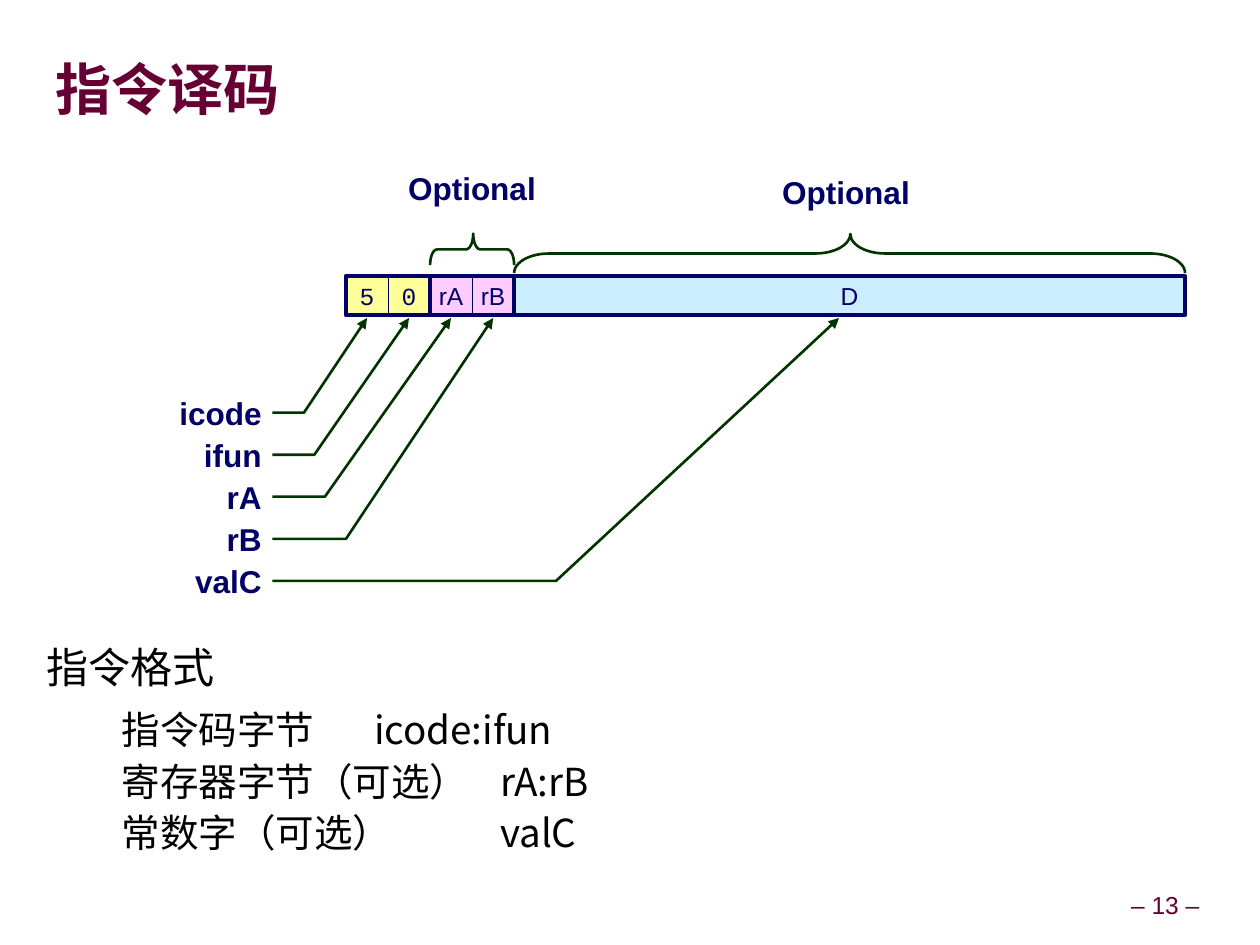
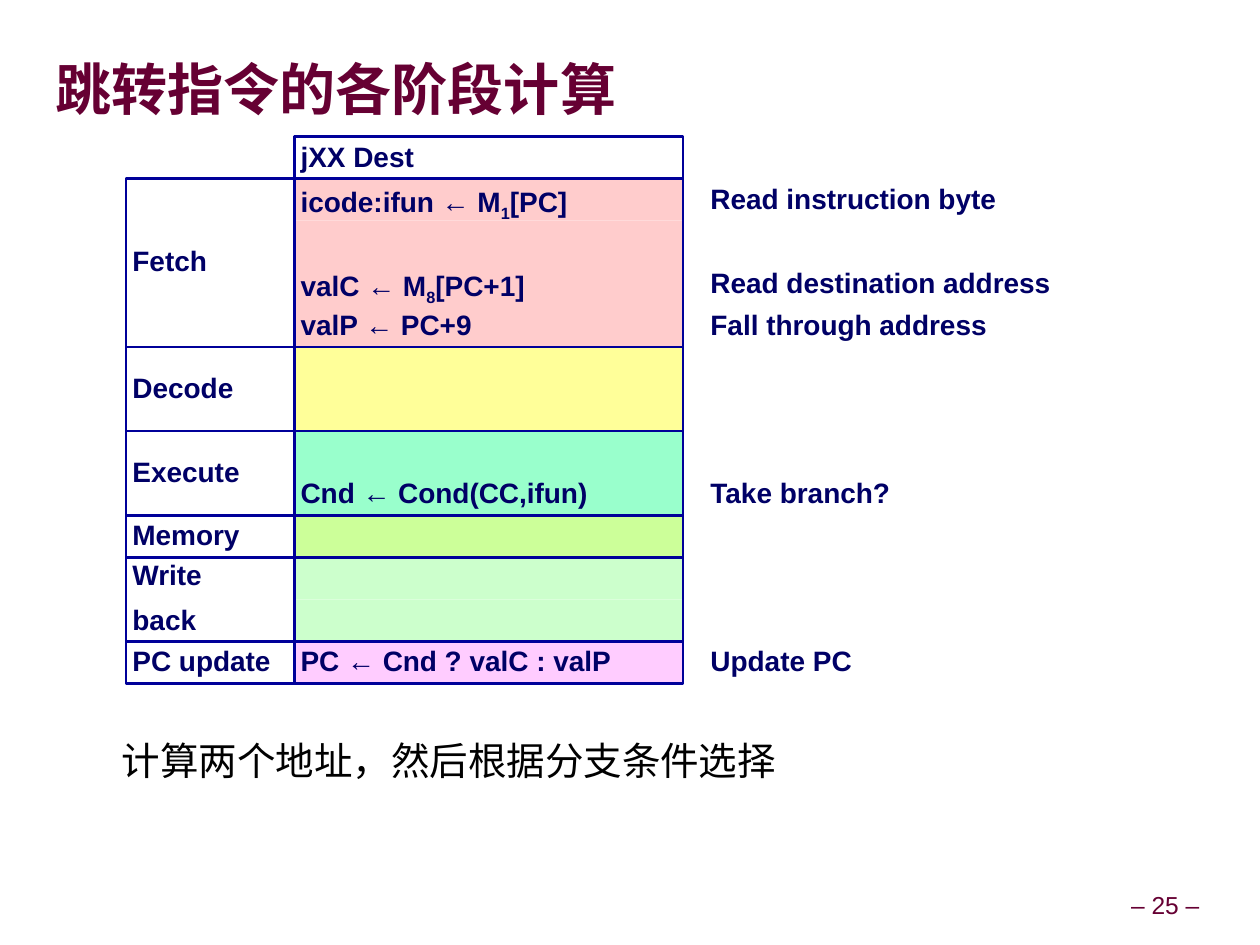
from dataclasses import dataclass

from lxml import etree
from pptx import Presentation
from pptx.dml.color import RGBColor
from pptx.enum.shapes import MSO_SHAPE
from pptx.enum.text import MSO_ANCHOR, MSO_AUTO_SIZE, PP_ALIGN
from pptx.oxml.ns import qn
from pptx.util import Pt

RECTANGLE, LEFT_BRACE = MSO_SHAPE.RECTANGLE, MSO_SHAPE.LEFT_BRACE
TOP, MIDDLE = MSO_ANCHOR.TOP, MSO_ANCHOR.MIDDLE
LEFT, CENTER, RIGHT = PP_ALIGN.LEFT, PP_ALIGN.CENTER, PP_ALIGN.RIGHT
FIXED_SIZE = MSO_AUTO_SIZE.NONE
TITLE_ONLY = 5
CJK = "Noto Sans CJK SC"
MONO = "Courier New"
SANS = "Arial"


@dataclass(frozen=True)
class TextStyle:
    """Type settings for one kind of text."""
    size: float
    color: str
    font: str = SANS
    bold: bool = False
    spacing: float = 1.0
    before: float = 0


class Theme:
    """Colours and type styles shared by the slides."""
    navy, blue, green, wine, black = "000066", "000099", "003300", "660033", "000000"
    yellow, pink, sky = "FFFF99", "FFCCFF", "CCECFF"
    rose, mint, lime, pale_green = "FFCCCC", "99FFCC", "CCFF99", "CCFFCC"
    title = TextStyle(32, wine, CJK, True)
    page_number = TextStyle(14, wine, spacing=0.9)
    heading = TextStyle(24, black, CJK)
    detail = TextStyle(22, black, CJK, before=3)
    digit = TextStyle(14, navy, MONO)
    field = TextStyle(14, navy)
    label = TextStyle(18, navy, bold=True, spacing=0.9)
    stage = TextStyle(16, navy, bold=True, spacing=0.9, before=8.4)
    inset = 3.6


class SlideWriter:
    """Draws styled elements on the current slide."""

    def __init__(self, deck):
        """Keep the deck and its size."""
        self.deck = deck
        self.page = None
        deck.slide_width, deck.slide_height = Pt(719.3), Pt(539.3)

    def new_page(self, number, *title_parts):
        """Start a slide with its title and page number."""
        self.page = self.deck.slides.add_slide(self.deck.slide_layouts[TITLE_ONLY])
        box = self.page.shapes.title
        box.left, box.top, box.width, box.height = Pt(31.5), Pt(19.5), Pt(657.5), Pt(61)
        self.frame(box, MIDDLE, 0)
        para = box.text_frame.paragraphs[0]
        para.alignment = LEFT
        for text, font in title_parts:
            span = para.add_run()
            span.text = text
            self.format_span(span, Theme.title, font)
        self.text(641.5, 506, 47.5, 22.5, f"– {number} –", Theme.page_number,
                  CENTER, MIDDLE, wrap=False)

    def frame(self, box, anchor, inset, wrap=True):
        """Set margins, anchor and wrapping of a box."""
        frame = box.text_frame
        frame.auto_size = FIXED_SIZE
        frame.word_wrap = wrap
        frame.vertical_anchor = anchor
        frame.margin_left = frame.margin_right = Pt(inset)
        frame.margin_top = frame.margin_bottom = Pt(inset)

    def format_span(self, span, style, font=None):
        """Apply a text style to one run."""
        span.font.name = font or style.font
        span.font.size = Pt(style.size)
        span.font.bold = style.bold
        span.font.color.rgb = RGBColor.from_string(style.color)
        if style.font == CJK:
            latin = span.font._element.find(qn("a:latin"))
            asian = etree.Element(qn("a:ea"), typeface=CJK)
            latin.addnext(asian)

    def fill_text(self, box, text, style, align=LEFT, anchor=TOP, wrap=True):
        """Write lines into a box, with underscores around subscripts."""
        self.frame(box, anchor, Theme.inset, wrap)
        frame = box.text_frame
        for index, line in enumerate(text.split("\n")):
            para = frame.add_paragraph() if index else frame.paragraphs[0]
            para.alignment = align
            para.line_spacing = style.spacing
            para.space_before = Pt(style.before if index else 0)
            for order, part in enumerate(line.split("_")):
                span = para.add_run()
                span.text = part
                self.format_span(span, style)
                if order % 2:
                    span.font._element.set("baseline", "-25000")

    def text(self, left, top, width, height, text, style, align=LEFT, anchor=TOP, wrap=True):
        """Add a text box."""
        box = self.page.shapes.add_textbox(Pt(left), Pt(top), Pt(width), Pt(height))
        self.fill_text(box, text, style, align, anchor, wrap)
        return box

    def tabbed_text(self, left, top, width, height, text, style, stops):
        """Add a text box whose paragraphs share tab stops."""
        box = self.text(left, top, width, height, text, style)
        for para in box.text_frame.paragraphs:
            tabs = etree.SubElement(para._p.get_or_add_pPr(), qn("a:tabLst"))
            for stop in stops:
                etree.SubElement(tabs, qn("a:tab"), pos=str(Pt(stop)), algn="l")

    def paint(self, shape, fill, line, weight):
        """Set the fill and outline of a shape and drop its shadow."""
        shape.shadow.inherit = False
        if fill:
            shape.fill.solid()
            shape.fill.fore_color.rgb = RGBColor.from_string(fill)
        else:
            shape.fill.background()
        if line:
            shape.line.color.rgb = RGBColor.from_string(line)
            shape.line.width = Pt(weight)
        else:
            shape.line.fill.background()

    def rect(self, left, top, width, height, fill=None, line=None, weight=1.5):
        """Add a rectangle."""
        box = self.page.shapes.add_shape(RECTANGLE, Pt(left), Pt(top), Pt(width), Pt(height))
        self.paint(box, fill, line, weight)
        return box

    def brace(self, left, top, width, height, curve, point):
        """Add a brace that lies above a span and points up."""
        shape = self.page.shapes.add_shape(
            LEFT_BRACE, Pt(left + (width - height) / 2), Pt(top + (height - width) / 2),
            Pt(height), Pt(width))
        shape.rotation = 90
        shape.adjustments[0], shape.adjustments[1] = curve, point
        self.paint(shape, None, Theme.green, 1.5)

    def bent_arrow(self, *points):
        """Add an open line through points with an arrowhead at its end."""
        start, *rest = [(Pt(x), Pt(y)) for x, y in points]
        builder = self.page.shapes.build_freeform(*start, scale=1.0)
        builder.add_line_segments(rest, close=False)
        shape = builder.convert_to_shape()
        self.paint(shape, None, Theme.green, 1.5)
        etree.SubElement(shape.line._get_or_add_ln(), qn("a:tailEnd"), type="triangle")


def decode_page(writer):
    """Draw the instruction decoding slide."""
    writer.new_page(13, ("指令译码", CJK))
    writer.text(23, 362.5, 653, 42, "指令格式", Theme.heading)
    writer.tabbed_text(66, 399.5, 610, 108,
                       "指令码字节\ticode:ifun\n寄存器字节（可选）\trA:rB\n常数字（可选）\tvalC",
                       Theme.detail, (144, 216))

    left, top, cell, height = 197.5, 157.5, 24, 22.5
    pairs = ((("5", "0"), Theme.yellow, Theme.digit), (("rA", "rB"), Theme.pink, Theme.field))
    for pair, (names, fill, style) in enumerate(pairs):
        pair_left = left + 2 * cell * pair
        for index, name in enumerate(names):
            box = writer.rect(pair_left + cell * index, top, cell, height, fill, Theme.navy, 0.5)
            writer.fill_text(box, name, style, CENTER, MIDDLE, wrap=False)
        writer.rect(pair_left, top, 2 * cell, height, None, Theme.navy, 2.25)
    constant_left, constant_width = left + 4 * cell, 383
    box = writer.rect(constant_left, top, constant_width, height, Theme.sky, Theme.navy, 2.25)
    writer.fill_text(box, "D", Theme.field, CENTER, MIDDLE, wrap=False)

    routes = (("icode", 173.5, 209.5), ("ifun", 179.5, 233.5), ("rA", 185.5, 257.5),
              ("rB", 197.5, 281.5), ("valC", 317.5, 479))
    for index, (name, bend, tip) in enumerate(routes):
        offset = cell * index
        writer.text(78, 223.5 + offset, 75, 26.5, name, Theme.label, RIGHT)
        level = 235.5 + offset
        writer.bent_arrow((155.5, level), (bend, level), (tip, 181.5))

    writer.brace(left + 2 * cell, 133.3, 2 * cell, 18, 0.222, 0.487)
    writer.brace(constant_left, 133.5, constant_width, 22.3, 0.889, 0.499)
    for label_left, label_top in ((229.5, 95.5), (443, 97.5)):
        writer.text(label_left, label_top, 80, 26.5, "Optional", Theme.label, CENTER, wrap=False)


def jump_page(writer):
    """Draw the jump instruction stages slide."""
    writer.new_page(25, ("跳转指令", MONO), ("的各阶段计算", CJK))
    writer.text(66, 417, 610, 40, "计算两个地址，然后根据分支条件选择", Theme.detail)

    row, top, width = 24, 78, 222
    stage_left, work_left, note_left = 72, 168, 402
    box = writer.rect(work_left, top, width, row, None, Theme.blue)
    writer.fill_text(box, "jXX Dest", Theme.stage)
    top += row
    blank = ("", "")
    stages = (
        ("Fetch", Theme.rose, (("icode:ifun ← M_1_[PC]", "Read instruction byte"), blank,
                               ("valC ← M_8_[PC+1]", "Read destination address"),
                               ("valP ← PC+9", "Fall through address"))),
        ("Decode", Theme.yellow, (blank, blank)),
        ("Execute", Theme.mint, (blank, ("Cnd ← Cond(CC,ifun)", "Take branch?"))),
        ("Memory", Theme.lime, (blank,)),
        ("Write\nback", Theme.pale_green, (blank, blank)),
        ("PC update", Theme.pink, (("PC ← Cnd ? valC : valP", "Update PC"),)),
    )
    for name, fill, steps in stages:
        height = row * len(steps)
        for index, (work, note) in enumerate(steps):
            row_top = top + row * index
            box = writer.rect(work_left, row_top, width, row, fill)
            if work:
                writer.fill_text(box, work, Theme.stage)
                writer.text(note_left, row_top, width, row, note, Theme.stage)
        writer.rect(work_left, top, width, height, None, Theme.blue)
        box = writer.rect(stage_left, top, work_left - stage_left, height, None, Theme.blue)
        writer.fill_text(box, name, Theme.stage, LEFT, MIDDLE)
        top += height


def main():
    """Build and save the deck."""
    deck = Presentation()
    writer = SlideWriter(deck)
    decode_page(writer)
    jump_page(writer)
    deck.save("out.pptx")


if __name__ == "__main__":
    main()
